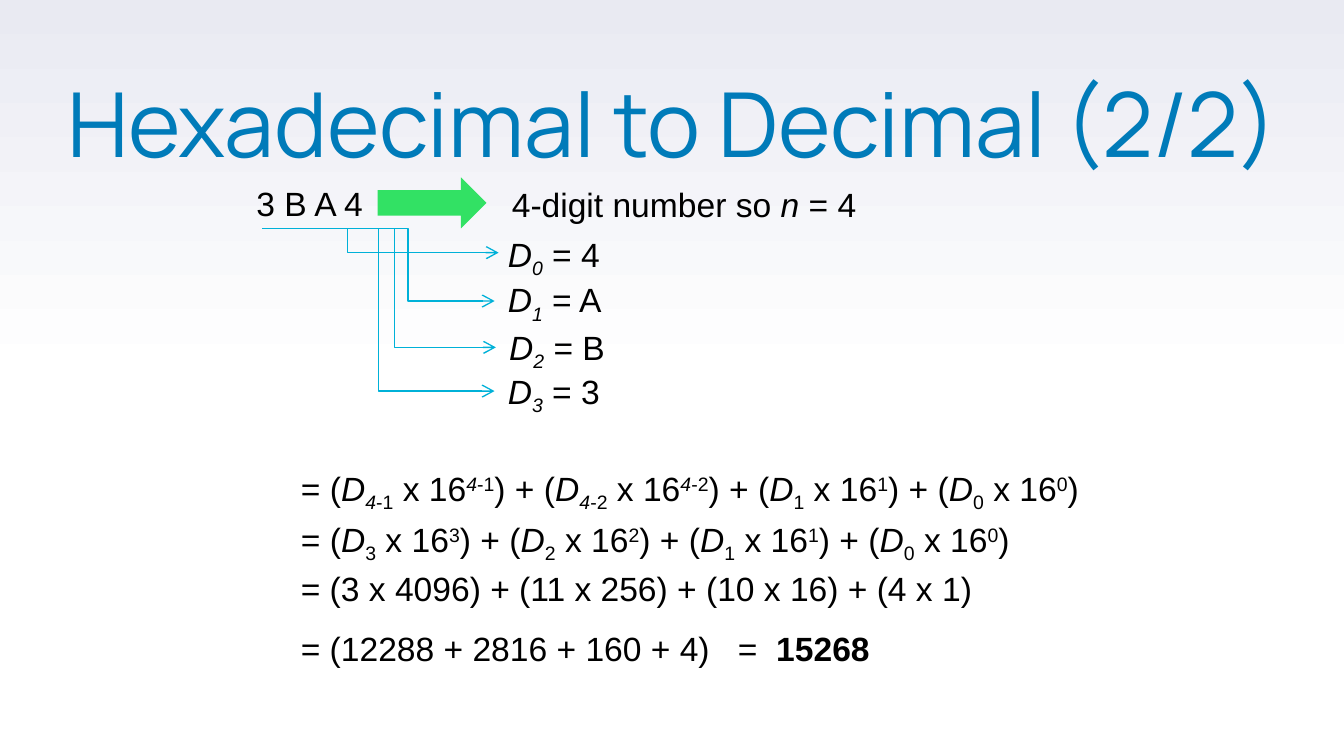
"""Build a slide that converts a hexadecimal number to decimal."""
import copy

import pptx
import pptx.dml.color
import pptx.enum.shapes
import pptx.enum.text
import pptx.oxml
import pptx.util

Pt = pptx.util.Pt
HEX = {"title": "007BB9", "text": "000000", "arrow": "32E164",
       "line": "00B1D8", "top": "E9EAF2", "base": "FFFFFF"}
BASE = {"-": "-25000", "+": "30000"}


def color(name):
    return pptx.dml.color.RGBColor.from_string(HEX[name])


def add_node(parent, tag, **attrs):
    node = pptx.oxml.ns.qn(tag)
    child = parent.makeelement(node, attrs)
    parent.append(child)
    return child


def paint_back(slide):
    fill = slide.background.fill
    fill.gradient()
    fill.gradient_angle = 90
    for stop, place, name in zip(fill.gradient_stops, (0.5, 1), ("base", "top")):
        stop.position = place
        stop.color.rgb = color(name)
    stops = slide.element.xpath(".//a:gsLst")[0]
    first = copy.deepcopy(stops[0])
    first.set("pos", "0")
    stops.insert(0, first)


def add_run(para, text, style="", size=18, face="Arial", tint="text"):
    run = para.add_run()
    run.text = text
    font = run.font
    font.size, font.name = Pt(size), face
    font.color.rgb = color(tint)
    font.italic = "i" in style
    font.bold = "b" in style
    for mark, shift in BASE.items():
        if mark in style:
            font._element.set("baseline", shift)


def add_box(slide, left, top, width, height=28.8, wrap=False):
    box = slide.shapes.add_textbox(Pt(left), Pt(top), Pt(width), Pt(height))
    box.text_frame.word_wrap = wrap
    return box.text_frame


def add_text(slide, left, top, width, runs, wrap=False, tabs=()):
    frame = add_box(slide, left, top, width, wrap=wrap)
    frame.auto_size = pptx.enum.text.MSO_AUTO_SIZE.SHAPE_TO_FIT_TEXT
    para = frame.paragraphs[0]
    if tabs:
        stops = add_node(para._p.get_or_add_pPr(), "a:tabLst")
        for place in tabs:
            add_node(stops, "a:tab", pos=str(Pt(place)), algn="l")
    for text, style in runs:
        add_run(para, text, style)


def add_title(slide, text):
    frame = add_box(slide, 36, 47.52, 671.04, 84.96, wrap=True)
    frame.margin_left = frame.margin_right = 0
    frame.margin_top = frame.margin_bottom = 0
    para = frame.paragraphs[0]
    para.line_spacing = 0.8
    add_run(para, text, size=48, face="Manrope", tint="title")


def add_arrow(slide, left, top, width, height):
    kind = pptx.enum.shapes.MSO_SHAPE.RIGHT_ARROW
    arrow = slide.shapes.add_shape(kind, Pt(left), Pt(top), Pt(width), Pt(height))
    arrow.shadow.inherit = False
    arrow.fill.solid()
    arrow.fill.fore_color.rgb = color("arrow")
    arrow.line.fill.background()


def add_elbow(slide, start, end, bend):
    kind = pptx.enum.shapes.MSO_CONNECTOR.ELBOW
    elbow = slide.shapes.add_connector(kind, *map(Pt, start + end))
    elbow.line.width = Pt(0.75)
    elbow.line.color.rgb = color("line")
    add_node(elbow.line._get_or_add_ln(), "a:tailEnd", type="arrow")
    add_node(elbow._element.spPr, "a:effectLst")
    guides = elbow._element.xpath(".//a:avLst")[0]
    add_node(guides, "a:gd", name="adj1", fmla=f"val {bend}")


def join_terms(terms):
    """Return the runs of a sum of terms, each a list of subscript and power runs."""
    runs = []
    for spot, (subs, powers) in enumerate(terms):
        runs += [(") + (" if spot else "= (", ""), ("D", "i")]
        runs += [(text, style + "-") for text, style in subs]
        runs += [(" x 16", "")]
        runs += [(text, style + "+") for text, style in powers]
    return runs + [(")", "")]


def add_digits(slide):
    rows = [("4", 264.96, 121.68, 64.8, 186.48, 267.12, 135.36, -400),
            ("A", 264.96, 146.16, 67.68, 172.08, 264.96, 161.28, 50000),
            ("B", 265.68, 171.36, 66.96, 156.96, 265.68, 186.1, 50000),
            ("3", 264.96, 195.12, 64.8, 140.4, 264.96, 209.52, 50000)]
    for place, (digit, left, top, width, start, end, level, bend) in enumerate(rows):
        runs = [("D", "i"), (str(place), "i-"), (f" = {digit}", "")]
        add_text(slide, left, top, width, runs)
        add_elbow(slide, (start, 122.4), (end, level), bend)


def add_steps(slide):
    left = 154.08
    plain = {n: ([(str(n), "")],) * 2 for n in range(4)}
    long = [([("4", "i"), (f"-{n}", "")],) * 2 for n in (1, 2)]
    add_text(slide, left, 246.96, 447.84,
             join_terms(long + [plain[1], plain[0]]), wrap=True)
    add_text(slide, left, 274.32, 416.16,
             join_terms([plain[n] for n in (3, 2, 1, 0)]), wrap=True)
    add_text(slide, left, 300.96, 378.72,
             [("= (3 x 4096) + (11 x 256) + (10 x 16) + (4 x 1)", "")])
    add_text(slide, left, 332.64, 321.84,
             [("= (12288 + 2816 + 160 + 4)\t=\t", ""), ("15268", "b")],
             wrap=True, tabs=(234.2, 254.7))


def main():
    deck = pptx.Presentation()
    deck.slide_width, deck.slide_height = Pt(720), Pt(405)
    slide = deck.slides.add_slide(deck.slide_layouts[6])
    paint_back(slide)
    add_title(slide, "Hexadecimal to Decimal (2/2)")
    add_text(slide, 130.32, 94.32, 74.16, [("3 B A 4", "")])
    add_arrow(slide, 202.32, 95.04, 58.32, 27.36)
    add_text(slide, 267.12, 95.04, 200.88,
             [("4-digit number so ", ""), ("n", "i"), (" = 4", "")])
    add_digits(slide)
    add_steps(slide)
    deck.save("out.pptx")


if __name__ == "__main__":
    main()
